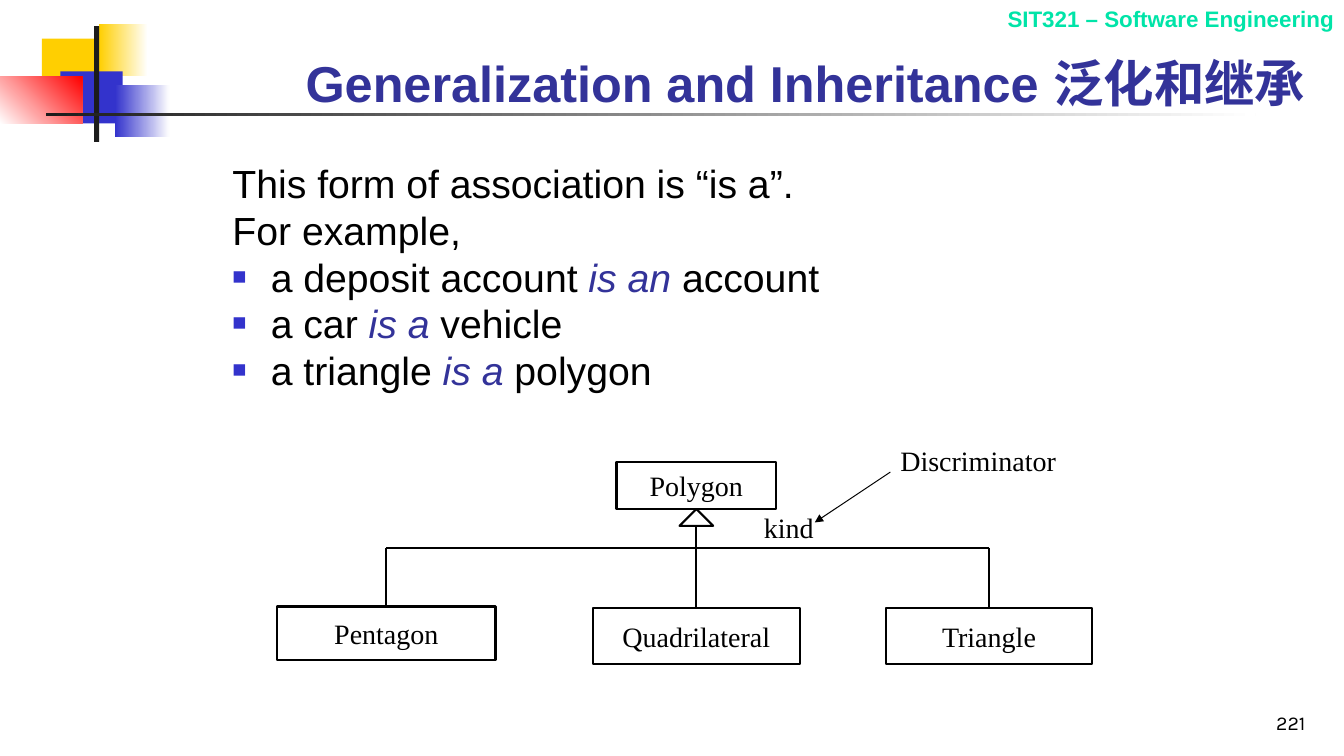
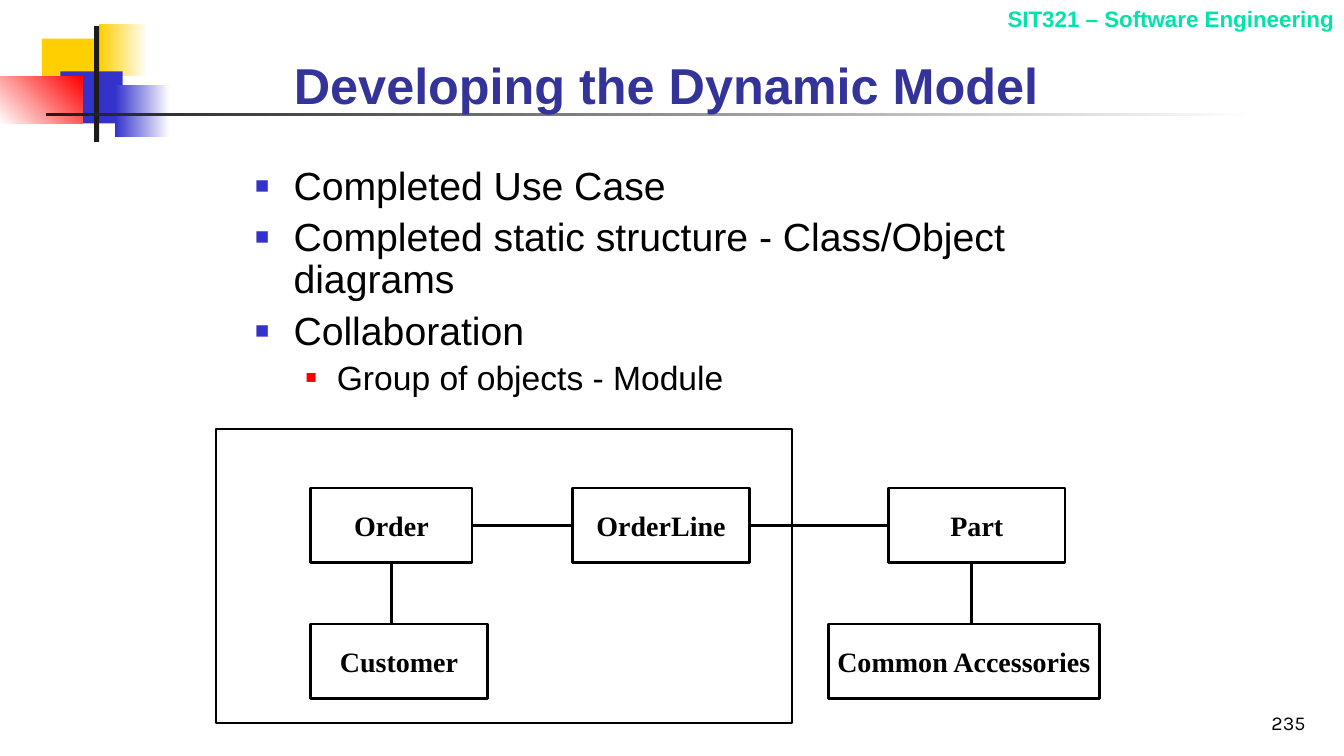
from dataclasses import dataclass
from typing import NamedTuple, Optional, Union

from lxml import etree
from pptx import Presentation
from pptx.dml.color import RGBColor
from pptx.enum.shapes import MSO_CONNECTOR, MSO_SHAPE
from pptx.enum.text import MSO_ANCHOR, PP_ALIGN
from pptx.oxml.ns import qn
from pptx.shapes.autoshape import Shape
from pptx.shapes.connector import Connector
from pptx.slide import Slide
from pptx.util import Emu, Inches, Pt

RECT, TRIANGLE = MSO_SHAPE.RECTANGLE, MSO_SHAPE.ISOSCELES_TRIANGLE
STRAIGHT = MSO_CONNECTOR.STRAIGHT
LEFT, CENTER, RIGHT = PP_ALIGN.LEFT, PP_ALIGN.CENTER, PP_ALIGN.RIGHT
TOP, MIDDLE, BOTTOM = MSO_ANCHOR.TOP, MSO_ANCHOR.MIDDLE, MSO_ANCHOR.BOTTOM
SITE_TOP, SITE_LEFT, SITE_BOTTOM, SITE_RIGHT = range(4)

COLUMNS, ROWS = 160, 90
CELL = Inches(1 / 12)

BLACK, WHITE, CHARCOAL = "000000", "FFFFFF", "1C1C1C"
YELLOW, BLUE, RED = "FFCF01", "3333CC", "FF0000"
INDIGO, MINT = "333399", "00E4A8"
SANS, SERIF, NUMERAL = "Arial", "Times New Roman", "Karla"


class Area(NamedTuple):
    col: float
    row: float
    cols: float
    rows: float


class Point(NamedTuple):
    col: float
    row: float


class Joint(NamedTuple):
    shape: Shape
    site: int


class Style(NamedTuple):
    font: str
    size: float
    color: str = BLACK
    bold: bool = False


class Band(NamedTuple):
    area: Area
    colors: tuple[str, ...]
    angle: float = 0


class Level(NamedTuple):
    size: float
    margin: float
    hanging: float
    space: float
    bullet_color: str = ""
    bullet_percent: int = 0


class Item(NamedTuple):
    level: Level
    parts: tuple[str, ...]


@dataclass(frozen=True)
class ClassBox:
    name: str
    area: Area


BANDS = (
    Band(Area(5, 4.6, 7.7, 6.2), (YELLOW,)),
    Band(Area(11.8, 2.9, 5.8, 6.2), (YELLOW, WHITE)),
    Band(Area(7.2, 8.5, 7.4, 6.2), (BLUE,)),
    Band(Area(13.7, 10.1, 6.5, 6.2), (BLUE, WHITE)),
    Band(Area(0, 9.1, 9.8, 5.6), (WHITE, RED), 45),
    Band(Area(11.2, 3.1, 0.6, 13.8), (CHARCOAL,)),
    Band(Area(5.5, 13.4, 144, 0.4), (CHARCOAL, WHITE)),
)
COURSE_AREA = Area(96.4, 0, 63.6, 4.4)
NUMBER_AREA = Area(123.2, 82, 33.4, 6)

COURSE_STYLE = Style(SANS, 16, MINT, True)
NUMBER_STYLE = Style(NUMERAL, 14)
TITLE_STYLE = Style(SANS, 36, INDIGO, True)
LABEL_STYLE = Style(SERIF, 20)
OBJECT_STYLE = Style(SERIF, 20, bold=True)

PLAIN = Level(28, 0.38, 0.38, 6.4)
POINT = Level(28, 0.38, 0.38, 6.4, BLUE, 60)
SUBPOINT = Level(24, 0.81, 0.31, 5.5, RED, 55)


def rgb(value: str) -> RGBColor:
    return RGBColor.from_string(value)


def cells(*counts: float) -> list[Emu]:
    return [Emu(round(count * CELL)) for count in counts]


def apply_style(font, style: Style) -> None:
    font.name, font.size, font.bold = style.font, Pt(style.size), style.bold
    font.color.rgb = rgb(style.color)


def add_text(slide: Slide, area: Area, text: str, style: Style,
             align=LEFT, anchor=TOP) -> None:
    frame = slide.shapes.add_textbox(*cells(*area)).text_frame
    frame.word_wrap = True
    frame.vertical_anchor = anchor
    paragraph = frame.paragraphs[0]
    paragraph.text, paragraph.alignment = text, align
    apply_style(paragraph.font, style)


def add_outline(slide: Slide, area: Area, weight: float,
                fill: str = "", kind=RECT) -> Shape:
    shape = slide.shapes.add_shape(kind, *cells(*area))
    shape.shadow.inherit = False
    if fill:
        shape.fill.solid()
        shape.fill.fore_color.rgb = rgb(fill)
    else:
        shape.fill.background()
    shape.line.color.rgb = rgb(BLACK)
    shape.line.width = Pt(weight)
    return shape


def add_class(slide: Slide, box: ClassBox, weight: float, style: Style,
              fill: str = "") -> Shape:
    shape = add_outline(slide, box.area, weight, fill)
    frame = shape.text_frame
    frame.word_wrap = False
    frame.vertical_anchor = MIDDLE
    paragraph = frame.paragraphs[0]
    paragraph.text, paragraph.alignment = box.name, CENTER
    apply_style(paragraph.font, style)
    return shape


def locate(end: Union[Point, Joint]) -> list[Emu]:
    if isinstance(end, Point):
        return cells(*end)
    shape, site = end
    across = {SITE_LEFT: 0, SITE_RIGHT: shape.width}.get(site, shape.width // 2)
    down = {SITE_TOP: 0, SITE_BOTTOM: shape.height}.get(site, shape.height // 2)
    return [Emu(shape.left + across), Emu(shape.top + down)]


def add_link(slide: Slide, start: Union[Point, Joint], end: Union[Point, Joint],
             weight: float, head: Optional[str] = None) -> Connector:
    link = slide.shapes.add_connector(STRAIGHT, *locate(start), *locate(end))
    if isinstance(start, Joint):
        link.begin_connect(*start)
    if isinstance(end, Joint):
        link.end_connect(*end)
    link.line.color.rgb = rgb(BLACK)
    link.line.width = Pt(weight)
    if head:
        etree.SubElement(link.line._get_or_add_ln(), qn("a:tailEnd"), type=head)
    etree.SubElement(link._element.spPr, qn("a:effectLst"))
    return link


def add_bullet(paragraph, level: Level) -> None:
    properties = paragraph._p.get_or_add_pPr()
    properties.set("marL", str(Inches(level.margin)))
    properties.set("indent", str(-Inches(level.hanging)))
    if level.bullet_color:
        color = etree.SubElement(properties, qn("a:buClr"))
        etree.SubElement(color, qn("a:srgbClr"), val=level.bullet_color)
        etree.SubElement(properties, qn("a:buSzPct"), val=str(level.bullet_percent * 1000))
        etree.SubElement(properties, qn("a:buFont"), typeface=SANS)
        etree.SubElement(properties, qn("a:buChar"), char="■")


def add_body(slide: Slide, area: Area, items: tuple[Item, ...], spacing: float) -> None:
    frame = slide.shapes.add_textbox(*cells(*area)).text_frame
    frame.word_wrap = True
    for index, (level, parts) in enumerate(items):
        paragraph = frame.add_paragraph() if index else frame.paragraphs[0]
        add_bullet(paragraph, level)
        paragraph.line_spacing = spacing
        paragraph.space_before = Pt(level.space if index else 0)
        apply_style(paragraph.font, Style(SANS, level.size))
        for position, part in enumerate(parts):
            run = paragraph.add_run()
            run.text = part
            if position % 2:
                run.font.italic = True
                run.font.color.rgb = rgb(INDIGO)


def add_band(slide: Slide, band: Band) -> None:
    shape = slide.shapes.add_shape(RECT, *cells(*band.area))
    shape.shadow.inherit = False
    shape.line.fill.background()
    if len(band.colors) == 1:
        shape.fill.solid()
        shape.fill.fore_color.rgb = rgb(band.colors[0])
        return
    shape.fill.gradient()
    shape.fill.gradient_angle = band.angle
    for position, (stop, color) in enumerate(zip(shape.fill.gradient_stops, band.colors)):
        stop.position = position
        stop.color.rgb = rgb(color)


def start_slide(deck, title: str, title_area: Area, number: int) -> Slide:
    slide = deck.slides.add_slide(deck.slide_layouts[6])
    for band in BANDS:
        add_band(slide, band)
    add_text(slide, COURSE_AREA, "SIT321 – Software Engineering", COURSE_STYLE, RIGHT)
    add_text(slide, NUMBER_AREA, str(number), NUMBER_STYLE, RIGHT, BOTTOM)
    add_text(slide, title_area, title, TITLE_STYLE, anchor=BOTTOM)
    return slide


def build_inheritance(deck) -> None:
    slide = start_slide(deck, "Generalization and Inheritance 泛化和继承",
                        Area(35.2, 2.8, 124.8, 11.2), 221)
    add_body(slide, Area(26.5, 19.5, 106.6, 30.1), (
        Item(PLAIN, ("This form of association is “is a”.",)),
        Item(PLAIN, ("For example,",)),
        Item(POINT, ("a deposit account ", "is an", " account")),
        Item(POINT, ("a car ", "is a", " vehicle")),
        Item(POINT, ("a triangle ", "is a", " polygon")),
    ), 0.8)

    weight, bus_row, trunk = 1.5, 65.2, 82.9
    arrow = Area(trunk - 2, 60.6, 4, 2)
    parent = ClassBox("Polygon", Area(trunk - 9.5, 55, 19, 5.6))
    children = (
        ClassBox("Pentagon", Area(33, 72.2, 26, 6.4)),
        ClassBox("Quadrilateral", Area(70.6, 72.4, 24.6, 6.6)),
        ClassBox("Triangle", Area(105.5, 72.4, 24.5, 6.6)),
    )
    add_class(slide, parent, weight, LABEL_STYLE)
    add_outline(slide, arrow, weight, kind=TRIANGLE)
    centers = [box.area.col + box.area.cols / 2 for box in children]
    branch_rows = (bus_row, arrow.row + arrow.rows, bus_row)
    for box, center, row in zip(children, centers, branch_rows):
        shape = add_class(slide, box, weight, LABEL_STYLE)
        add_link(slide, Point(center, row), Joint(shape, SITE_TOP), weight)
    add_link(slide, Point(centers[0], bus_row), Point(centers[-1], bus_row), weight)

    add_text(slide, Area(87, 60.2, 13.8, 5.2), "kind", LABEL_STYLE, CENTER)
    add_text(slide, Area(106, 52.2, 27, 5.2), "Discriminator", LABEL_STYLE)
    add_link(slide, Point(106, 56.2), Point(97, 62.2), 0.75, "triangle")


def build_dynamic_model(deck) -> None:
    slide = start_slide(deck, "Developing the Dynamic Model",
                        Area(33.8, 6.5, 97.1, 7.7), 235)
    add_body(slide, Area(29.2, 19.2, 101.9, 29.4), (
        Item(POINT, ("Completed Use Case",)),
        Item(POINT, ("Completed static structure - Class/Object diagrams",)),
        Item(POINT, ("Collaboration",)),
        Item(SUBPOINT, ("Group of objects - Module",)),
    ), 0.9)

    weight, upper, lower, height = 2, 58.1, 74.3, 8.9
    boxes = (
        ClassBox("Order", Area(37, upper, 19.2, height)),
        ClassBox("OrderLine", Area(68.2, upper, 21, height)),
        ClassBox("Part", Area(105.8, upper, 21, height)),
        ClassBox("Customer", Area(37, lower, 21, height)),
        ClassBox("Common Accessories", Area(98.6, lower, 32.3, height)),
    )
    order, order_line, part, _, _ = [
        add_class(slide, box, weight, OBJECT_STYLE, WHITE) for box in boxes]
    for source, target in ((order, order_line), (order_line, part)):
        add_link(slide, Joint(source, SITE_RIGHT), Joint(target, SITE_LEFT), weight)
    add_link(slide, Joint(order, SITE_BOTTOM), Point(46.6, lower), weight)
    add_link(slide, Point(115.7, upper + height), Point(115.7, lower), weight)
    add_outline(slide, Area(25.7, 51.1, 68.6, 35), 1.5)


def main() -> None:
    deck = Presentation()
    deck.slide_width, deck.slide_height = cells(COLUMNS, ROWS)
    build_inheritance(deck)
    build_dynamic_model(deck)
    deck.save("out.pptx")


if __name__ == "__main__":
    main()
